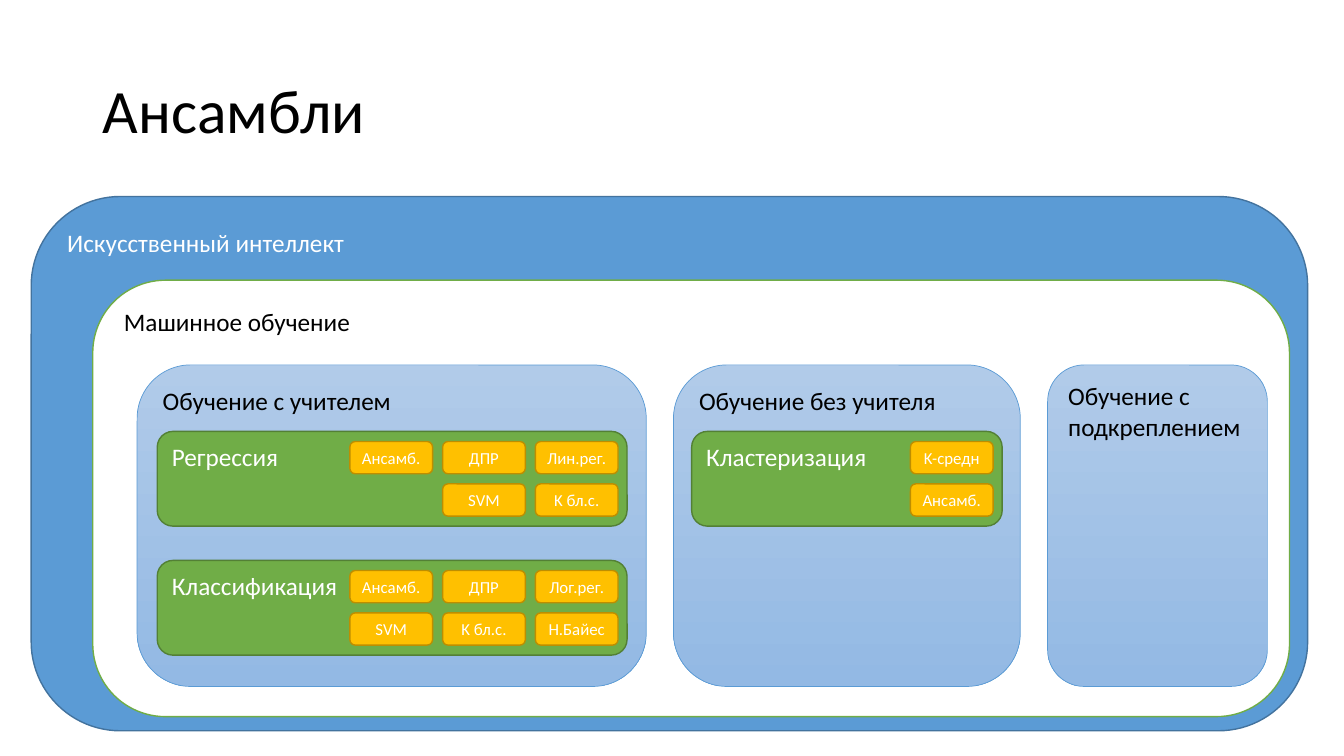
from dataclasses import dataclass

from pptx import Presentation
from pptx.dml.color import RGBColor
from pptx.enum.shapes import MSO_SHAPE
from pptx.enum.text import MSO_ANCHOR, PP_ALIGN
from pptx.util import Inches, Pt

TITLE = "Ансамбли"

# Label, (left, top, width, height) in inches, style name
FIELDS = [
    ("Искусственный интеллект", (0.31, 1.95, 12.66, 5.3), "intelligence"),
    ("Машинное обучение", (0.92, 2.78, 11.87, 4.33), "learning"),
]

# Label, left, width
PARADIGMS = [
    ("Обучение с учителем", 1.36, 5.05),
    ("Обучение без учителя", 6.68, 3.44),
    ("Обучение с подкреплением", 10.39, 2.18),
]

# Label, left, top, width, rows of methods
TASKS = [
    ("Регрессия", 1.56, 4.28, 4.66,
     [["Ансамб.", "ДПР", "Лин.рег."], ["SVM", "K бл.с."]]),
    ("Классификация", 1.56, 5.56, 4.66,
     [["Ансамб.", "ДПР", "Лог.рег."], ["SVM", "K бл.с.", "Н.Байес"]]),
    ("Кластеризация", 6.86, 4.28, 3.08,
     [["K-средн"], ["Ансамб."]]),
]

PARADIGM_TOP, PARADIGM_HEIGHT = 3.62, 3.19
TASK_HEIGHT = 0.94
METHOD_WIDTH, METHOD_HEIGHT = 0.82, 0.32
METHOD_STEP_X, METHOD_STEP_Y = 0.92, 0.42
METHOD_MARGIN_RIGHT, METHOD_MARGIN_TOP = 0.09, 0.1


@dataclass(frozen=True)
class Style:
    fills: tuple
    line: str
    text: str
    line_width: float = 1
    size: int = 18
    centred: bool = False


@dataclass(frozen=True)
class Theme:
    font: str = "Calibri"
    title_size: int = 44
    title_color: str = "000000"
    intelligence: Style = Style(("5B9BD5",), "43739E", "FFFFFF")
    learning: Style = Style(("FFFFFF",), "70AD47", "000000")
    paradigm: Style = Style(("B1CBE9", "93B9E4"), "5B9BD5", "000000", 0.5)
    task: Style = Style(("70AD47",), "538035", "FFFFFF")
    method: Style = Style(("FFC000",), "BD8E00", "FFFFFF", size=12, centred=True)


THEME = Theme()


def color(code):
    return RGBColor.from_string(code)


def set_font(para, size, code):
    para.font.name = THEME.font
    para.font.size = Pt(size)
    para.font.color.rgb = color(code)


def paint(fill, codes):
    """Fill solidly with one colour, or from top to bottom with two."""
    if len(codes) == 1:
        fill.solid()
        fill.fore_color.rgb = color(codes[0])
        return
    fill.gradient()
    fill.gradient_angle = 270
    for stop, code in zip(fill.gradient_stops, codes):
        stop.color.rgb = color(code)


def add_box(page, label, place, style):
    box = page.shapes.add_shape(
        MSO_SHAPE.ROUNDED_RECTANGLE, *[Inches(length) for length in place])
    box.shadow.inherit = False
    paint(box.fill, style.fills)
    box.line.color.rgb = color(style.line)
    box.line.width = Pt(style.line_width)
    frame = box.text_frame
    frame.text = label
    frame.word_wrap = not style.centred
    frame.vertical_anchor = MSO_ANCHOR.MIDDLE if style.centred else MSO_ANCHOR.TOP
    para = frame.paragraphs[0]
    para.alignment = PP_ALIGN.CENTER if style.centred else PP_ALIGN.LEFT
    set_font(para, style.size, style.text)


def add_title(page):
    title = page.shapes.title
    title.left, title.top = Inches(0.92), Inches(0.4)
    title.width, title.height = Inches(11.5), Inches(1.45)
    title.text_frame.text = TITLE
    title.text_frame.vertical_anchor = MSO_ANCHOR.MIDDLE
    para = title.text_frame.paragraphs[0]
    para.alignment = PP_ALIGN.LEFT
    para.line_spacing = 0.9
    set_font(para, THEME.title_size, THEME.title_color)


def add_methods(page, right, top, rows):
    """Lay out the rows of methods against the right side of a task."""
    last_left = right - METHOD_MARGIN_RIGHT - METHOD_WIDTH
    for row, methods in enumerate(rows):
        method_top = top + METHOD_MARGIN_TOP + row * METHOD_STEP_Y
        for column, method in enumerate(reversed(methods)):
            left = last_left - column * METHOD_STEP_X
            add_box(page, method,
                    (left, method_top, METHOD_WIDTH, METHOD_HEIGHT), THEME.method)


def main():
    deck = Presentation()
    deck.slide_width, deck.slide_height = Inches(13.33), Inches(7.5)
    page = deck.slides.add_slide(deck.slide_layouts.get_by_name("Title Only"))
    add_title(page)
    for label, place, style in FIELDS:
        add_box(page, label, place, getattr(THEME, style))
    for label, left, width in PARADIGMS:
        add_box(page, label,
                (left, PARADIGM_TOP, width, PARADIGM_HEIGHT), THEME.paradigm)
    for label, left, top, width, rows in TASKS:
        add_box(page, label, (left, top, width, TASK_HEIGHT), THEME.task)
        add_methods(page, left + width, top, rows)
    deck.save("out.pptx")


if __name__ == "__main__":
    main()
